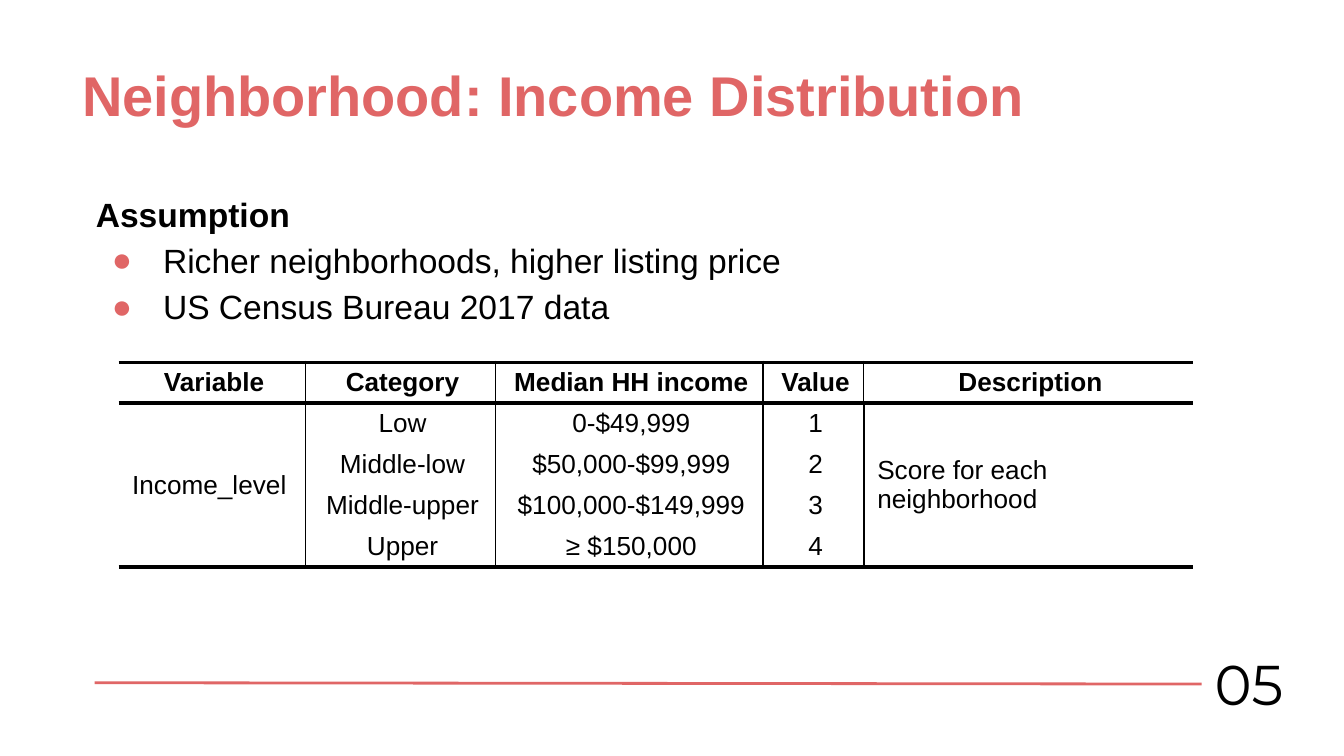
from dataclasses import dataclass

from lxml import etree
from pptx import Presentation
from pptx import util as u
from pptx.dml.color import RGBColor
from pptx.enum import shapes, text
from pptx.oxml import ns


@dataclass(frozen=True)
class Theme:
    """Hold the colours, fonts, type sizes and line widths."""
    ink: str = "000000"
    paper: str = "FFFFFF"
    coral: str = "E06666"
    sans: str = "Arial"
    digit: str = "Montserrat"
    large: int = 30
    body: int = 18
    small: int = 14
    thick: float = 2.25
    thin: float = 0.75
    plain: float = 1
    rule: float = 1.5


COLS, ROWS = 100, 56.25
WIDTH = u.Inches(10)
HEIGHT = WIDTH * 9 // 16


def add(parent, tag, **attrs):
    """Append a drawing element to its parent and return it."""
    return etree.SubElement(parent, ns.qn(f"a:{tag}"), attrs)


def paint(parent, color):
    """Append a solid fill of the given colour."""
    add(add(parent, "solidFill"), "srgbClr", val=color)


def inset(frame, left, top, right, bottom):
    """Set the four inner margins in inches."""
    frame.margin_left, frame.margin_top = u.Inches(left), u.Inches(top)
    frame.margin_right, frame.margin_bottom = u.Inches(right), u.Inches(bottom)


def write(para, words, size, color, font, bold=False, align="LEFT", lead=None, bullet=None):
    """Put formatted words in a paragraph."""
    para.alignment = getattr(text.PP_ALIGN, align)
    if lead:
        para.line_spacing = lead
    if bullet:
        props = para._p.get_or_add_pPr()
        props.set("marL", str(u.Inches(0.5)))
        props.set("indent", str(u.Inches(-0.38)))
        add(add(props, "buClr"), "srgbClr", val=bullet)
        add(props, "buFont", typeface=font)
        add(props, "buChar", char="●")
    run = para.add_run()
    run.text = words
    run.font.size, run.font.name, run.font.bold = u.Pt(size), font, bold
    run.font.color.rgb = RGBColor.from_string(color)


class Board:
    """Draw styled elements on the current slide."""

    def __init__(self, theme):
        """Open a deck with one blank slide."""
        self.theme = theme
        self.deck = Presentation()
        self.deck.slide_width, self.deck.slide_height = WIDTH, HEIGHT
        self.slide = self.deck.slides.add_slide(self.deck.slide_layouts[6])

    def place(self, col, row):
        """Turn grid columns and rows into lengths."""
        return round(WIDTH * col / COLS), round(HEIGHT * row / ROWS)

    def box(self, spot, size, lines, pad):
        """Add a text box with one paragraph per line."""
        frame = self.slide.shapes.add_textbox(*self.place(*spot), *self.place(*size)).text_frame
        frame.word_wrap = True
        inset(frame, *pad)
        for i, (words, form) in enumerate(lines):
            write(frame.add_paragraph() if i else frame.paragraphs[0], words, **form)

    def line(self, start, end, color, width):
        """Add a straight line without a shadow."""
        link = self.slide.shapes.add_connector(
            shapes.MSO_CONNECTOR.STRAIGHT, *self.place(*start), *self.place(*end))
        link.line.color.rgb = RGBColor.from_string(color)
        link.line.width = u.Pt(width)
        add(link._element.spPr, "effectLst")

    def edge(self, cell, sides):
        """Draw the cell sides that have a width and hide the rest."""
        props = cell._tc.get_or_add_tcPr()
        for side in "LRTB":
            width = sides[side]
            line = add(props, f"ln{side}", w=str(u.Pt(width)))
            if width:
                paint(line, self.theme.ink)
            else:
                add(line, "noFill")

    def table(self, spot, widths, height, data, tall):
        """Add a ruled table whose tall columns span the body rows."""
        look, last, end = self.theme, len(data) - 1, len(widths) - 1
        grid = self.slide.shapes.add_table(
            len(data), len(widths), *self.place(*spot),
            *self.place(sum(widths), height * len(data))).table
        for col, width in zip(grid.columns, widths):
            col.width = self.place(width, 0)[0]
        for r, row in enumerate(data):
            grid.rows[r].height = self.place(0, height)[1]
            side = look.plain if r else look.thin
            for c, words in enumerate(row):
                cell = grid.cell(r, c)
                span = r and c in tall
                self.edge(cell, {
                    "L": side if c else 0,
                    "R": side if c < end else 0,
                    "T": look.thick if r < 2 else 0,
                    "B": look.thick if r in (0, last) or span else 0})
                cell.fill.solid()
                cell.fill.fore_color.rgb = RGBColor.from_string(look.paper)
                cell.vertical_anchor = text.MSO_ANCHOR.MIDDLE
                inset(cell, 0.1, 0, 0.07, 0)
                if words:
                    write(cell.text_frame.paragraphs[0], words, look.small, look.ink, look.sans,
                          bold=r == 0, align="LEFT" if span else "CENTER")
        for c in tall:
            grid.cell(1, c).merge(grid.cell(last, c))


def main():
    """Build the income slide and save it."""
    look = Theme()
    board = Board(look)
    pad = (0.07, 0.04, 0.07, 0.04)
    board.box((89.4, 47.3), (8, 7.1),
              [("05", dict(size=look.large, color=look.ink, font=look.digit))], (0.1,) * 4)
    board.box((5.4, 4.1), (88.5, 4.8),
              [("Neighborhood: Income Distribution",
                dict(size=look.large, color=look.coral, font=look.sans, bold=True))], pad)
    board.line((7.05, 50.8), (89.4, 50.9), look.coral, look.rule)
    data = [
        ("Variable", "Category", "Median HH income", "Value", "Description"),
        ("Income_level", "Low", "0-$49,999", "1", "Score for each neighborhood"),
        ("", "Middle-low", "$50,000-$99,999", "2", ""),
        ("", "Middle-upper", "$100,000-$149,999", "3", ""),
        ("", "Upper", "≥ $150,000", "4", ""),
    ]
    board.table((8.83, 26.97), (13.9, 14.15, 19.9, 7.5, 24.5), 3.04, data, tall=(0, 4))
    base = dict(size=look.body, color=look.ink, font=look.sans, lead=1.15)
    point = dict(base, bullet=look.coral)
    board.box((6.43, 13.56), (73.1, 10.4),
              [("Assumption", dict(base, bold=True)),
               ("Richer neighborhoods, higher listing price", point),
               ("US Census Bureau 2017 data", point)], pad)
    board.deck.save("out.pptx")


if __name__ == "__main__":
    main()
